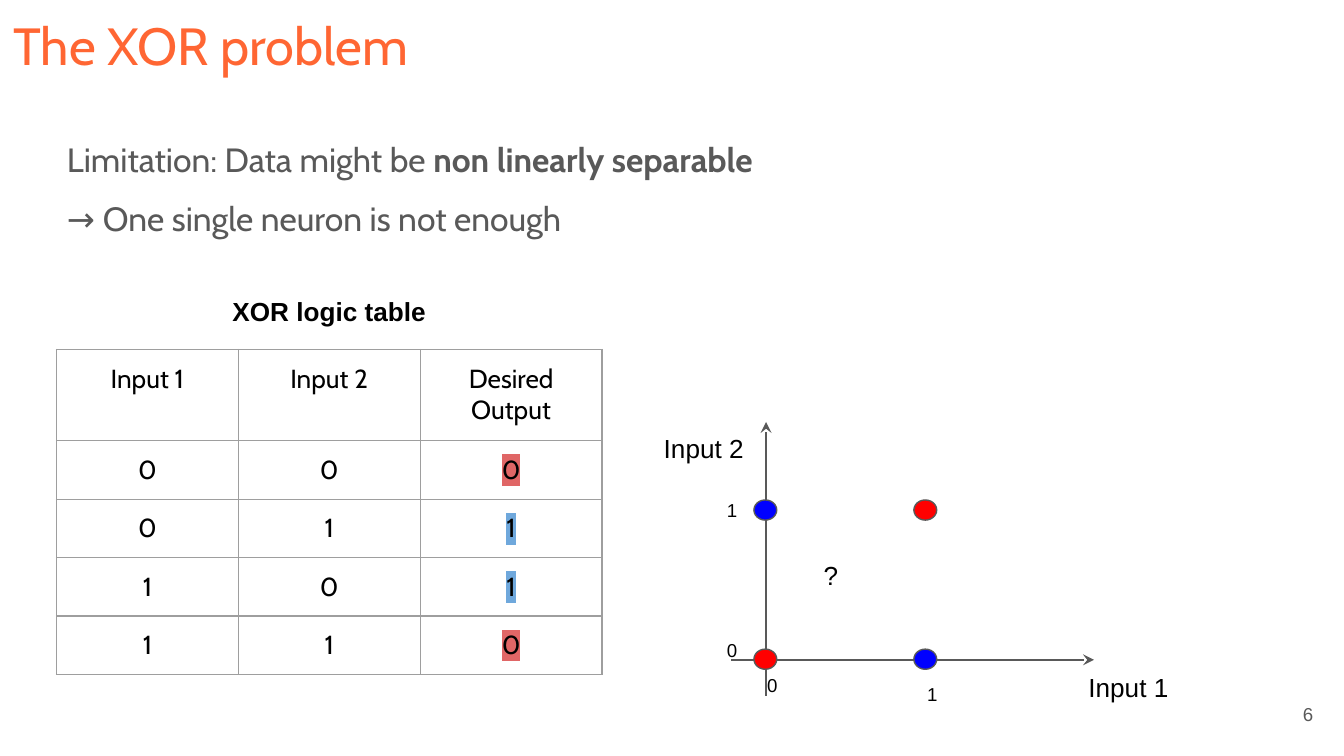
from lxml import etree
from pptx import Presentation
from pptx.dml.color import RGBColor
from pptx.enum.shapes import MSO_CONNECTOR, MSO_SHAPE
from pptx.enum.text import MSO_ANCHOR, PP_ALIGN
from pptx.oxml.ns import qn
from pptx.util import Inches, Pt

LEFT, CENTER, RIGHT = PP_ALIGN.LEFT, PP_ALIGN.CENTER, PP_ALIGN.RIGHT
TOP, MIDDLE = MSO_ANCHOR.TOP, MSO_ANCHOR.MIDDLE
STRAIGHT, OVAL = MSO_CONNECTOR.STRAIGHT, MSO_SHAPE.OVAL
HEX = {"title": "FF6633", "gray": "595959", "black": "000000",
       "grid": "9E9E9E", "blue": "0000FF", "red": "FF0000",
       "rose": "E06666", "sky": "6FA8DC"}


def add_run(para, text, size, face, color, bold=False):
    run = para.add_run()
    run.text = text
    run.font.size = Pt(size)
    run.font.name = face
    run.font.bold = bold
    run.font.color.rgb = RGBColor.from_string(HEX[color])
    return run


def add_box(left, top, width, height, anchor=TOP, align=LEFT):
    box = slide.shapes.add_textbox(Inches(left), Inches(top), Inches(width), Inches(height))
    frame = box.text_frame
    frame.word_wrap = True
    frame.vertical_anchor = anchor
    frame.margin_left = frame.margin_right = Inches(0.1)
    frame.margin_top = frame.margin_bottom = Inches(0.1)
    frame.paragraphs[0].alignment = align
    return frame


prs = Presentation()
prs.slide_width = Inches(10)
prs.slide_height = Inches(10) * 9 // 16
slide = prs.slides.add_slide(prs.slide_layouts[6])

title = add_box(0, 0, 9.32, 0.63)
add_run(title.paragraphs[0], "The XOR problem", 28, "Cabin", "title")

rows = [("Input 1", "Input 2", "Desired Output")]
rows += [(str(a), str(b), str(a ^ b)) for a in (0, 1) for b in (0, 1)]
marks = {"0": "rose", "1": "sky"}
table = slide.shapes.add_table(5, 3, Inches(0.42), Inches(2.6), Inches(4.06), Inches(2.42)).table
table.first_row = table.horz_banding = False
for col in table.columns:
    col.width = Inches(4.06) // 3
for r, row in enumerate(rows):
    table.rows[r].height = Inches(1.74) // 4 if r else Inches(0.68)
    for c, text in enumerate(row):
        cell = table.cell(r, c)
        cell.margin_left = cell.margin_right = Inches(0.1)
        cell.margin_top = cell.margin_bottom = Inches(0.1)
        para = cell.text_frame.paragraphs[0]
        para.alignment = CENTER
        run = add_run(para, text, 14, "Cabin", "black")
        if r and c == 2:
            mark = etree.Element(qn("a:highlight"))
            etree.SubElement(mark, qn("a:srgbClr"), val=HEX[marks[text]])
            run.font._element.find(qn("a:latin")).addprevious(mark)
        props = cell._tc.get_or_add_tcPr()
        for side in ("lnL", "lnR", "lnT", "lnB"):
            edge = etree.SubElement(props, qn("a:" + side), w=str(Pt(0.75)))
            fill = etree.SubElement(edge, qn("a:solidFill"))
            etree.SubElement(fill, qn("a:srgbClr"), val=HEX["grid"])
        cell.fill.background()

head = add_box(0.42, 2.1, 4.06, 0.71, align=CENTER)
add_run(head.paragraphs[0], "XOR logic table", 14, "Arial", "black", True)

for x1, y1, x2, y2, end in [(5.7, 3.14, 5.7, 5.18, "headEnd"),
                            (5.44, 4.91, 8.14, 4.91, "tailEnd")]:
    axis = slide.shapes.add_connector(STRAIGHT, Inches(x1), Inches(y1), Inches(x2), Inches(y2))
    axis.line.color.rgb = RGBColor.from_string(HEX["gray"])
    axis.line.width = Pt(0.75)
    etree.SubElement(axis.line._get_or_add_ln(), qn("a:" + end), type="stealth")
    etree.SubElement(axis._element.spPr, qn("a:effectLst"))

for a, left in enumerate((5.61, 6.8)):
    for b, top in enumerate((4.83, 3.72)):
        dot = slide.shapes.add_shape(OVAL, Inches(left), Inches(top), Inches(0.17), Inches(0.15))
        dot.shadow.inherit = False
        dot.fill.solid()
        dot.fill.fore_color.rgb = RGBColor.from_string(HEX["blue" if a ^ b else "red"])
        dot.line.color.rgb = RGBColor.from_string(HEX["gray"])
        dot.line.width = Pt(0.75)

for text, left, top, width, height, size, anchor in [
        ("1", 5.31, 3.63, 0.77, 0.38, 10, TOP),
        ("0", 5.31, 4.67, 0.77, 0.38, 10, TOP),
        ("0", 5.61, 4.93, 0.77, 0.38, 10, TOP),
        ("1", 6.8, 5, 0.36, 0.38, 10, TOP),
        ("Input 1", 8, 4.92, 0.86, 0.38, 14, MIDDLE),
        ("Input 2", 4.84, 2.98, 0.94, 0.71, 14, MIDDLE),
        ("?", 6.03, 4.06, 0.47, 0.71, 14, TOP)]:
    label = add_box(left, top, width, height, anchor)
    add_run(label.paragraphs[0], text, size, "Arial", "black")

page = add_box(9.27, 5.1, 0.6, 0.43, MIDDLE, RIGHT)
add_run(page.paragraphs[0], "6", 10, "Arial", "gray")

body = add_box(0.4, 0.99, 9.32, 1.11)
body.margin_top = Inches(0.04)
para = body.paragraphs[0]
add_run(para, "Limitation: Data might be ", 18, "Cabin", "gray")
add_run(para, "non linearly separable", 18, "Cabin", "gray", True)
para = body.add_paragraph()
para.space_before = Pt(10)
add_run(para, "→ One single neuron is not enough", 18, "Cabin", "gray")

prs.save("out.pptx")
